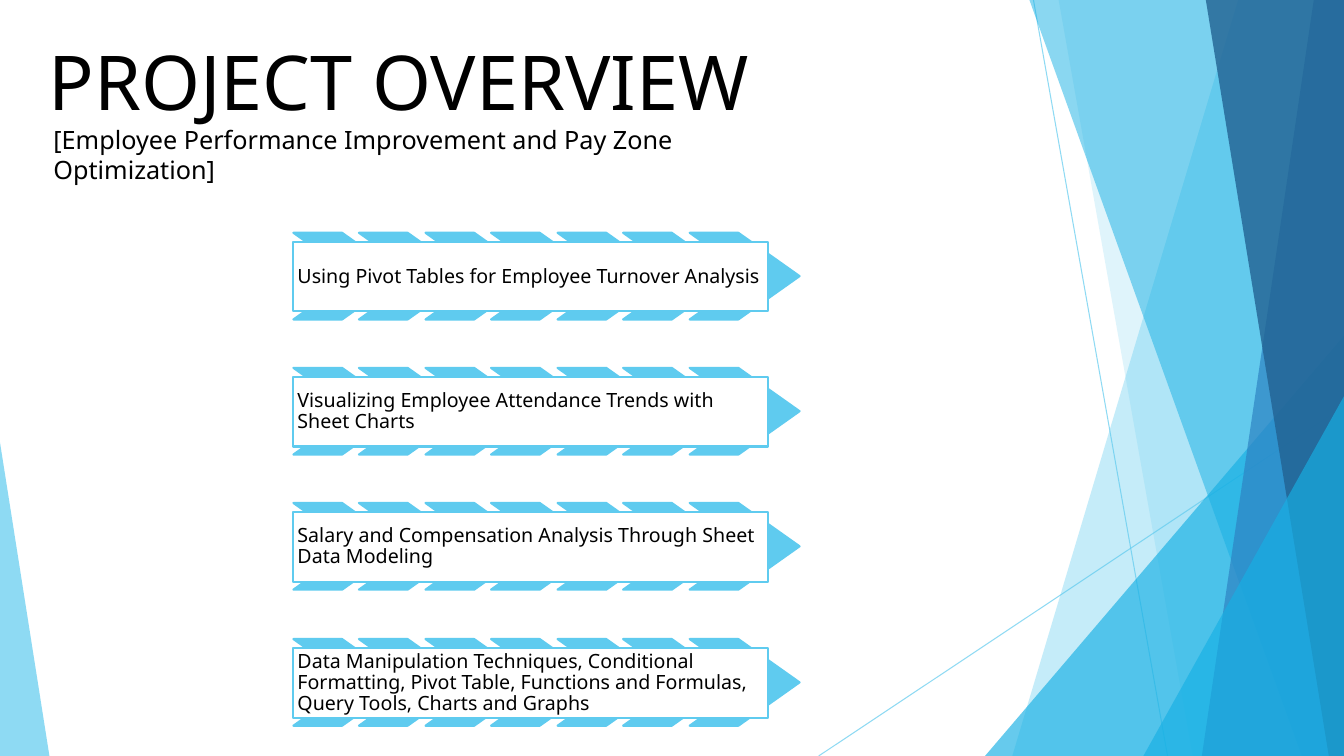
from pptx import Presentation
from pptx import util as u
from pptx.dml.color import RGBColor
from pptx.enum import shapes, text
from pptx.oxml.ns import qn
from lxml import etree

PX = 9144  # 100 px to the inch
WIDTH, HEIGHT = 1333, 750
FONT = "Noto Sans"
COLORS = {
    "sky": "5FCBEF",
    "cyan": "17B0E4",
    "blue": "2E83C3",
    "navy": "226292",
    "white": "FFFFFF",
    "black": "000000",
}
TOPICS = [
    "Using Pivot Tables for Employee Turnover Analysis",
    "Visualizing Employee Attendance Trends with Sheet Charts",
    "Salary and Compensation Analysis Through Sheet Data Modeling",
    "Data Manipulation Techniques, Conditional Formatting, Pivot Table, "
    "Functions and Formulas, Query Tools, Charts and Graphs",
]
CHEVRONS_PER_TOPIC = 7


def px(*lengths):
    return [u.Emu(length * PX) for length in lengths]


def color(name):
    return RGBColor.from_string(COLORS[name])


def set_opacity(shape, percent):
    for node in shape._element.spPr.iter(qn("a:srgbClr")):
        etree.SubElement(node, qn("a:alpha")).set("val", str(percent * 1000))


def fill_facet(shape, name, opacity):
    shape.shadow.inherit = False
    shape.fill.solid()
    shape.fill.fore_color.rgb = color(name)
    shape.line.fill.background()
    set_opacity(shape, opacity)


def add_polygon(slide, points, name, opacity):
    builder = slide.shapes.build_freeform(*points[0], scale=PX)
    builder.add_line_segments(points[1:], close=True)
    fill_facet(builder.convert_to_shape(), name, opacity)


def add_triangle(slide, box, apex, name, opacity):
    shape = slide.shapes.add_shape(
        shapes.MSO_SHAPE.ISOSCELES_TRIANGLE, *px(*box))
    shape.adjustments[0] = apex
    fill_facet(shape, name, opacity)


def add_thin_line(slide, ends):
    line = slide.shapes.add_connector(
        shapes.MSO_CONNECTOR.STRAIGHT, *px(*ends))
    line.line.color.rgb = color("sky")
    line.line.width = u.Pt(0.75)
    set_opacity(line, 70)
    etree.SubElement(line._element.spPr, qn("a:effectLst"))


def add_outlined(slide, kind, box, fill):
    shape = slide.shapes.add_shape(kind, *px(*box))
    shape.shadow.inherit = False
    shape.fill.solid()
    shape.fill.fore_color.rgb = color(fill)
    shape.line.color.rgb = color("sky")
    shape.line.width = u.Pt(1.5)
    return shape


def write(shape, words, size, anchor):
    frame = shape.text_frame
    frame.text = words
    frame.word_wrap = True
    frame.auto_size = text.MSO_AUTO_SIZE.NONE
    frame.vertical_anchor = anchor
    paragraph = frame.paragraphs[0]
    paragraph.alignment = text.PP_ALIGN.LEFT
    paragraph.space_before = u.Pt(0)
    font = paragraph.runs[0].font
    font.name = FONT
    font.size = u.Pt(size)
    font.color.rgb = color("black")
    return frame


def fill_placeholder(placeholder, box, words, size):
    placeholder.left, placeholder.top, placeholder.width, placeholder.height = px(*box)
    write(placeholder, words, size, text.MSO_ANCHOR.TOP)


def add_backdrop(slide):
    add_thin_line(slide, (1025, 0, 1158, HEIGHT))
    add_thin_line(slide, (WIDTH, 403, 812, HEIGHT))

    # Facets run from the top edge to the bottom edge along the right side
    def add_facet(top_left, bottom_left, name, opacity):
        corners = [(top_left, 0), (WIDTH, 0), (WIDTH, HEIGHT), (bottom_left, HEIGHT)]
        add_polygon(slide, corners, name, opacity)

    add_facet(1228, 1004, "sky", 36)
    add_facet(1050, 1183, "sky", 20)
    add_triangle(slide, (977, 333, 356, 417), 1, "cyan", 66)
    add_facet(1021, 1291, "cyan", 50)
    add_facet(1303, 1192, "blue", 70)
    add_facet(1196, 1318, "navy", 80)
    add_triangle(slide, (1134, 393, 199, 357), 1, "cyan", 66)
    add_triangle(slide, (0, 439, 49, 311), 0, "sky", 70)


def add_topic(slide, row, words):
    left, top = 291, 231 + 403 * row // 3
    for column in range(CHEVRONS_PER_TOPIC):
        box = (left + 131 * column // 2, top, 109, 86)
        chevron = add_outlined(slide, shapes.MSO_SHAPE.CHEVRON, box, "sky")
        chevron.adjustments[0] = 0.706
    card = add_outlined(
        slide, shapes.MSO_SHAPE.RECTANGLE, (left, top + 9, 471, 69), "white")
    frame = write(card, words, 14, text.MSO_ANCHOR.MIDDLE)
    frame.paragraphs[0].line_spacing = 0.9
    frame.margin_left, frame.margin_top, frame.margin_right, frame.margin_bottom = px(4, 4, 4, 4)


def main():
    presentation = Presentation()
    presentation.slide_width, presentation.slide_height = px(WIDTH, HEIGHT)
    slide = presentation.slides.add_slide(presentation.slide_layouts[0])

    # Heading
    fill_placeholder(slide.shapes.title, (38, 30, 781, 101), "PROJECT OVERVIEW", 54)
    fill_placeholder(
        slide.placeholders[1], (43, 118, 791, 70),
        "[Employee Performance Improvement and Pay Zone Optimization]", 18)

    # Decorative facets
    add_backdrop(slide)

    # Topic arrows
    for row, words in enumerate(TOPICS):
        add_topic(slide, row, words)

    presentation.save("out.pptx")


if __name__ == "__main__":
    main()
